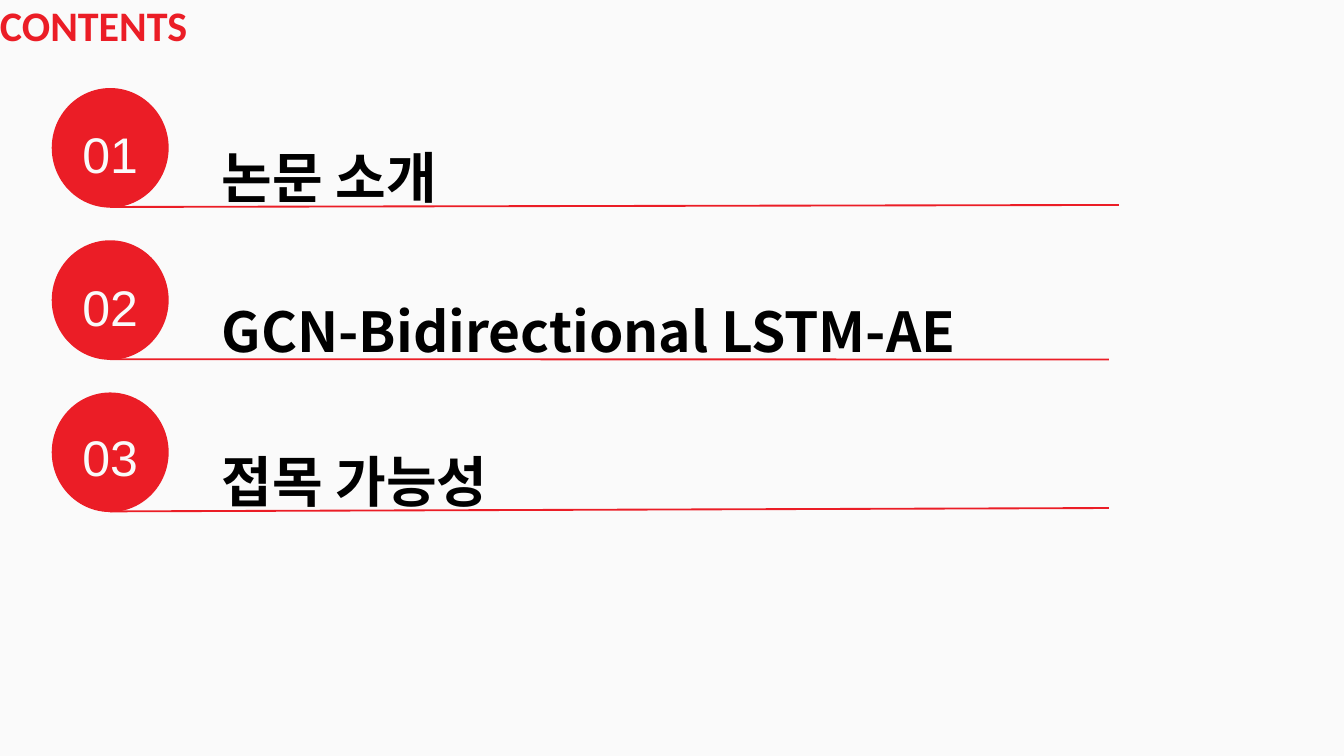
from dataclasses import dataclass

from lxml import etree
from pptx import Presentation
from pptx.dml.color import RGBColor
from pptx.enum.shapes import MSO_CONNECTOR, MSO_SHAPE
from pptx.enum.text import MSO_AUTO_SIZE, PP_ALIGN
from pptx.oxml.ns import qn
from pptx.util import Inches, Pt

RED = RGBColor(0xEB, 0x1D, 0x26)
BLACK = RGBColor(0, 0, 0)
OFF_WHITE = RGBColor(0xFA, 0xFA, 0xFA)
OVAL = MSO_SHAPE.OVAL
STRAIGHT = MSO_CONNECTOR.STRAIGHT
LEFT, CENTER = PP_ALIGN.LEFT, PP_ALIGN.CENTER
FIT_SHAPE = MSO_AUTO_SIZE.SHAPE_TO_FIT_TEXT

FIRST_TOP = 1.31
ROW_PITCH = 2.265
CIRCLE_LEFT, CIRCLE_W, CIRCLE_H = 0.77, 1.74, 1.78
LINE_LEFT = CIRCLE_LEFT + CIRCLE_W / 2
TITLE_LEFT = 3.3


@dataclass
class Chapter:
    title: str
    title_top: float
    title_width: float
    number_top: float
    line_end: tuple[float, float]


CHAPTERS = [
    Chapter("논문 소개", 1.32, 13.2, 1.69, (16.65, 3.05)),
    Chapter("GCN-Bidirectional LSTM-AE", 3.61, 14.3, 3.96, (16.5, 5.35)),
    Chapter("접목 가능성", 5.85, 15.23, 6.2, (16.5, 7.56)),
]


def add_text(slide, text: str, left: float, top: float, width: float, height: float, *,
             size: float, font: str, color: RGBColor, spacing: float,
             bold: bool = False, align: PP_ALIGN = LEFT) -> None:
    sp = slide.shapes.add_textbox(Inches(left), Inches(top), Inches(width), Inches(height))
    tf = sp.text_frame
    tf.margin_left = tf.margin_right = tf.margin_top = tf.margin_bottom = 0
    tf.word_wrap = True
    tf.auto_size = FIT_SHAPE
    p = tf.paragraphs[0]
    p.alignment = align
    p.line_spacing = Pt(spacing)
    r = p.add_run()
    r.text = text
    r.font.size = Pt(size)
    r.font.bold = bold
    r.font.color.rgb = color
    r.font.name = font
    # Korean glyphs take the East Asian typeface
    etree.SubElement(r.font._element, qn("a:ea"), typeface=font)


def add_circle(slide, top: float) -> None:
    sp = slide.shapes.add_shape(OVAL, Inches(CIRCLE_LEFT), Inches(top),
                                Inches(CIRCLE_W), Inches(CIRCLE_H))
    sp.shadow.inherit = False
    sp.fill.solid()
    sp.fill.fore_color.rgb = RED
    sp.line.fill.background()


def add_underline(slide, start_y: float, end: tuple[float, float]) -> None:
    line = slide.shapes.add_connector(STRAIGHT, Inches(LINE_LEFT), Inches(start_y),
                                      Inches(end[0]), Inches(end[1]))
    line.line.color.rgb = RED
    line.line.width = Pt(1.98)
    etree.SubElement(line._element.spPr, qn("a:effectLst"))


def add_chapter(slide, index: int, chapter: Chapter) -> None:
    top = FIRST_TOP + index * ROW_PITCH
    add_text(slide, chapter.title, TITLE_LEFT, chapter.title_top, chapter.title_width, 1.57,
             size=59, font="Noto Sans CJK SC", color=BLACK, spacing=129.3, bold=True)
    add_circle(slide, top)
    add_text(slide, f"{index + 1:02}", 0.84, chapter.number_top, 1.6, 1.05,
             size=53.6, font="Arial", color=OFF_WHITE, spacing=75.1, align=CENTER)
    add_underline(slide, top + CIRCLE_H - 0.01, chapter.line_end)


def main() -> None:
    prs = Presentation()
    prs.slide_width, prs.slide_height = Inches(20), Inches(11.25)
    s = prs.slides.add_slide(prs.slide_layouts[6])
    s.background.fill.solid()
    s.background.fill.fore_color.rgb = OFF_WHITE
    add_text(s, "CONTENTS", 0, -0.13, 3.33, 0.84,
             size=45, font="Calibri", color=RED, spacing=63, bold=True)
    for index, chapter in enumerate(CHAPTERS):
        add_chapter(s, index, chapter)
    prs.save("out.pptx")


if __name__ == "__main__":
    main()
